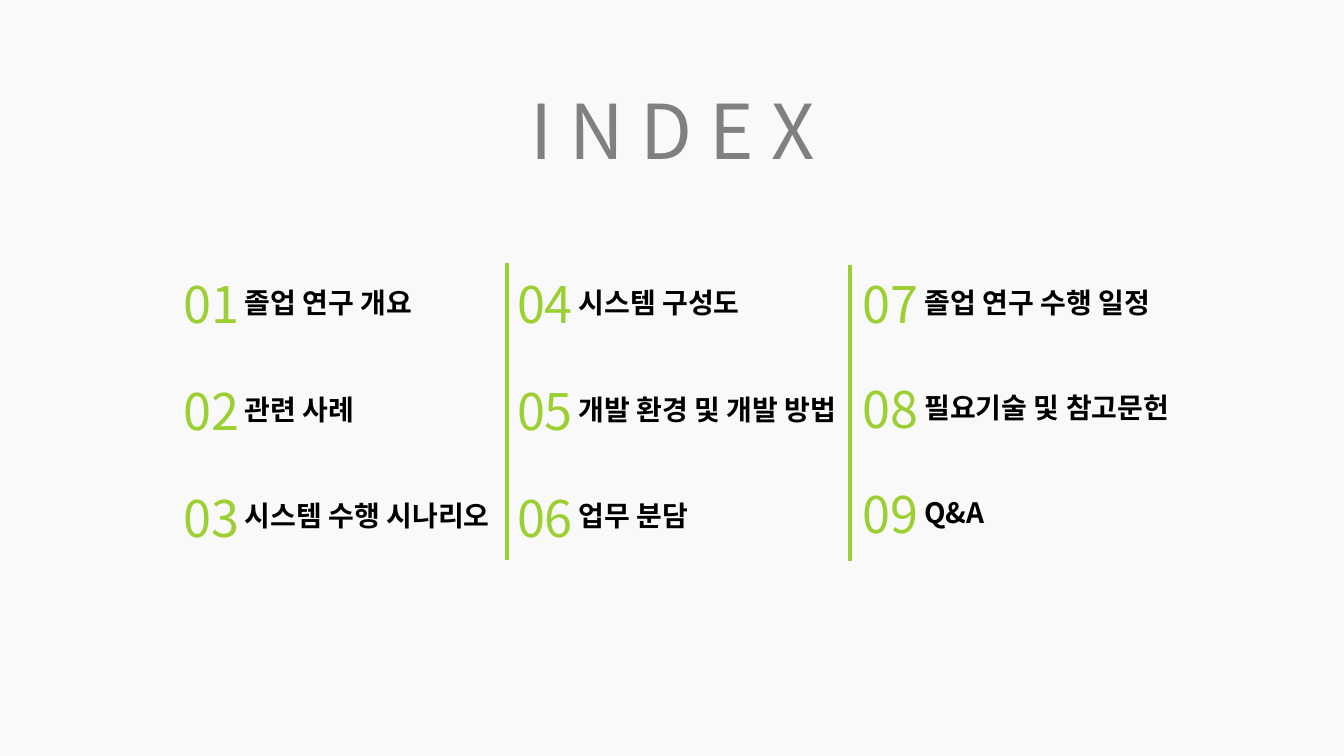
from collections import namedtuple
from dataclasses import dataclass

from lxml.etree import SubElement
from pptx import Presentation
from pptx.dml.color import RGBColor
from pptx.enum.shapes import MSO_CONNECTOR
from pptx.enum.text import MSO_AUTO_SIZE
from pptx.oxml.ns import qn
from pptx.util import Inches, Pt

Box = namedtuple("Box", "left top width height")


@dataclass(frozen=True)
class Theme:
    """Colours, typeface and type sizes of the deck."""

    background: str = "F9F9F9"
    title: str = "808080"
    accent: str = "9CCF32"
    body: str = "000000"
    typeface: str = "Noto Sans CJK KR"
    title_size: int = 54
    number_size: int = 36
    label_size: int = 20
    rule_width: float = 2.5


THEME = Theme()
SLIDE_WIDTH, SLIDE_HEIGHT = 13.33, 7.5
TITLE_BOX = Box(5.16, 0.78, 3.28, 1.01)
ROW_PITCH = 1.06
COLUMN_HEIGHT = 3 * ROW_PITCH
LABEL_INDENT, LABEL_DROP = 0.61, 0.12
NUMBER_HEIGHT, LABEL_HEIGHT = 0.71, 0.44

COLUMNS = [
    (Box(1.72, 2.66, 0.85, COLUMN_HEIGHT),
     [("졸업 연구 개요", 1.94), ("관련 사례", 1.33), ("시스템 수행 시나리오", 2.73)]),
    (Box(5.03, 2.66, 0.9, COLUMN_HEIGHT),
     [("시스템 구성도", 1.86), ("개발 환경 및 개발 방법", 2.88), ("업무 분담", 1.33)]),
    (Box(8.46, 2.66, 0.85, COLUMN_HEIGHT - 0.05),
     [("졸업 연구 수행 일정", 2.54), ("필요기술 및 참고문헌", 2.73), ("Q&A", 0.83)]),
]
DIVIDERS = [Box(5.03, 2.61, 0, 2.95), Box(8.43, 2.63, 0, 2.94)]


def add_text(shapes, box, text, *, size, color, bold=False, wrap=False):
    """Add a one-line text box in the theme typeface."""
    text_box = shapes.add_textbox(*map(Inches, box))
    frame = text_box.text_frame
    frame.word_wrap = wrap
    frame.auto_size = MSO_AUTO_SIZE.SHAPE_TO_FIT_TEXT
    span = frame.paragraphs[0].add_run()
    span.text = text
    span.font.size = Pt(size)
    span.font.bold = bold
    span.font.color.rgb = RGBColor.from_string(color)
    span.font.name = THEME.typeface
    SubElement(span.font._element, qn("a:ea"), typeface=THEME.typeface)


def add_entry(page, box, number, label, label_width):
    """Group an index number with its label."""
    entry = page.shapes.add_group_shape()
    add_text(entry.shapes, box, f"{number:02d}",
             size=THEME.number_size, color=THEME.accent, wrap=True)
    label_box = Box(box.left + LABEL_INDENT, box.top + LABEL_DROP,
                    label_width, LABEL_HEIGHT)
    add_text(entry.shapes, label_box, label,
             size=THEME.label_size, color=THEME.body, bold=True)


def add_column(page, box, first_number, entries):
    """Spread the entries of one column evenly down its box."""
    pitch = box.height / len(entries)
    for row, (label, label_width) in enumerate(entries):
        entry_box = Box(box.left, box.top + row * pitch, box.width, NUMBER_HEIGHT)
        add_entry(page, entry_box, first_number + row, label, label_width)


def add_divider(page, box):
    """Draw a vertical rule down the given box."""
    rule = page.shapes.add_connector(
        MSO_CONNECTOR.STRAIGHT, Inches(box.left), Inches(box.top),
        Inches(box.left + box.width), Inches(box.top + box.height))
    rule.line.color.rgb = RGBColor.from_string(THEME.accent)
    rule.line.width = Pt(THEME.rule_width)
    SubElement(rule._element.spPr, qn("a:effectLst"))


def add_index_slide(deck):
    """Build the index slide with its title, columns and dividers."""
    page = deck.slides.add_slide(deck.slide_layouts[6])
    page.background.fill.solid()
    page.background.fill.fore_color.rgb = RGBColor.from_string(THEME.background)
    add_text(page.shapes, TITLE_BOX, "I N D E X",
             size=THEME.title_size, color=THEME.title)
    first_number = 1
    for box, entries in COLUMNS:
        add_column(page, box, first_number, entries)
        first_number += len(entries)
    for box in DIVIDERS:
        add_divider(page, box)


def main():
    """Create and save the deck."""
    deck = Presentation()
    deck.slide_width = Inches(SLIDE_WIDTH)
    deck.slide_height = Inches(SLIDE_HEIGHT)
    add_index_slide(deck)
    deck.save("out.pptx")


if __name__ == "__main__":
    main()
